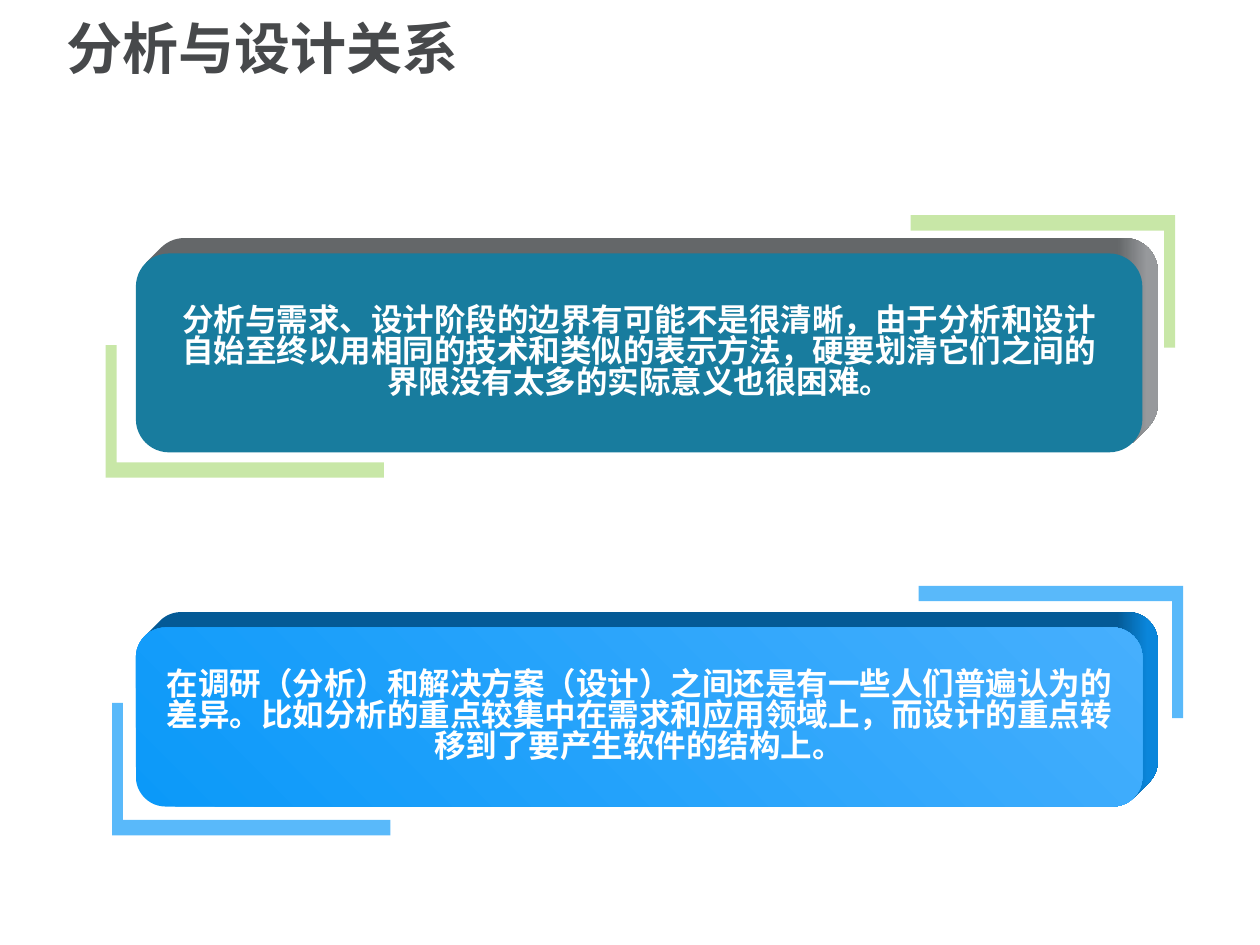
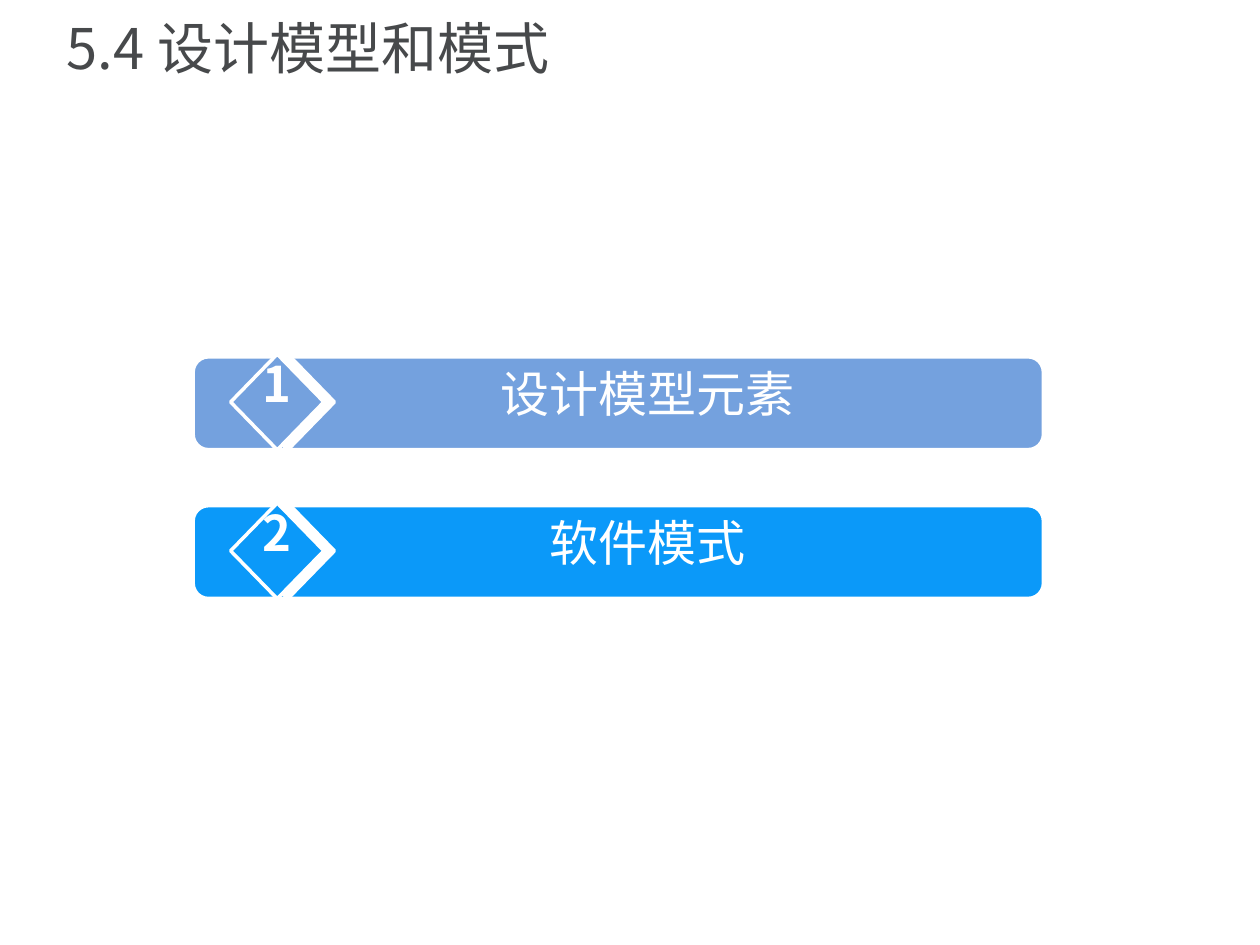
import math
from dataclasses import dataclass

from lxml import etree
from pptx import Presentation
from pptx import util as u
from pptx.dml.color import RGBColor
from pptx.enum import shapes, text
from pptx.oxml import ns

Cm, Pt = u.Cm, u.Pt


@dataclass(frozen=True)
class Theme:
    title: str = "47494B"
    white: str = "FFFFFF"
    green: str = "92D050"
    teal: str = "187C9E"
    blue: str = "0B99F9"
    light_blue: str = "46AFFD"
    soft_blue: str = "74A1DE"
    gray_side: tuple = ("646769", "97999C")
    blue_side: tuple = ("045A96", "0A86DB")
    font: str = "Noto Sans CJK SC"
    label_font: str = "Noto Sans CJK JP"
    card_font: str = "DejaVu Sans"
    title_size: int = 32
    label_size: int = 28
    card_size: int = 18


def rgb(value):
    return RGBColor.from_string(value)


class Deck:
    """Holds the theme and the slide being filled."""

    def __init__(self, prs, theme):
        self.prs, self.theme, self.s = prs, theme, None

    # Slide and title
    def slide(self, title, bold=False):
        t = self.theme
        self.s = self.prs.slides.add_slide(self.prs.slide_layouts[5])
        sp = self.s.shapes.title
        sp.left, sp.top, sp.width, sp.height = Cm(1.09), Cm(0.15), Cm(22.99), Cm(1.78)
        self.set_text(sp, title, t.title_size, t.font, t.title, bold,
                      align=text.PP_ALIGN.LEFT)
        sp.text_frame.auto_size = text.MSO_AUTO_SIZE.NONE

    # Text formatting
    def set_text(self, sp, words, size, font, color, bold=False, spacing=0.9,
                 align=text.PP_ALIGN.CENTER, anchor=text.MSO_ANCHOR.MIDDLE,
                 east_asian=None, wrap=True):
        tf = sp.text_frame
        tf.text = words
        tf.word_wrap = wrap
        tf.vertical_anchor = anchor
        for p in tf.paragraphs:
            p.alignment = align
            p.line_spacing = spacing
            for r in p.runs:
                r.font.size, r.font.bold, r.font.name = Pt(size), bold, font
                r.font.color.rgb = rgb(color)
                ea = etree.SubElement(r.font._element, ns.qn("a:ea"))
                ea.set("typeface", east_asian or font)

    def label(self, x, y, w, h, words, bold=False):
        t = self.theme
        sp = self.s.shapes.add_textbox(Cm(x), Cm(y), Cm(w), Cm(h))
        self.set_text(sp, words, t.label_size, t.label_font, t.white, bold,
                      anchor=text.MSO_ANCHOR.TOP)

    # Shapes
    def shape(self, kind, x, y, w, h, fill, line=None):
        sp = self.s.shapes.add_shape(kind, Cm(x), Cm(y), Cm(w), Cm(h))
        sp.shadow.inherit = False
        sp.fill.solid()
        sp.fill.fore_color.rgb = rgb(fill)
        if line:
            sp.line.color.rgb, sp.line.width = rgb(self.theme.white), Pt(line)
        else:
            sp.line.fill.background()
        return sp

    def outline(self, points):
        points = [(Cm(x), Cm(y)) for x, y in points]
        fb = self.s.shapes.build_freeform(*points[0])
        fb.add_line_segments(points[1:], close=True)
        sp = fb.convert_to_shape()
        sp.shadow.inherit = False
        sp.line.fill.background()
        return sp

    def gradient(self, sp, colors, angle, positions=(0, 1)):
        sp.fill.gradient()
        sp.fill.gradient_angle = angle
        for stop, color, position in zip(sp.fill.gradient_stops, colors, positions):
            stop.color.rgb, stop.position = rgb(color), position

    # Corner bracket: bottom left, or turned half round for top right
    def bracket(self, x, y, w, color, opacity, turned=False):
        h, dx, dy = 2.67, 0.22, 0.31
        points = [(0, 0), (dx, 0), (dx, h - dy), (w, h - dy), (w, h), (0, h)]
        if turned:
            points = [(w - px, h - py) for px, py in points]
        sp = self.outline([(x + px, y + py) for px, py in points])
        sp.fill.solid()
        sp.fill.fore_color.rgb = rgb(color)
        clr = sp._element.spPr.find(ns.qn("a:solidFill")).find(ns.qn("a:srgbClr"))
        etree.SubElement(clr, ns.qn("a:alpha")).set("val", str(opacity * 1000))

    # Raised card: a rounded face in front of its extruded side
    def card(self, y, h, words, face, side, font):
        t = self.theme
        x, w, depth, radius = 2.74, 20.29, 0.31, h / 6
        left, right = x + radius, x + w - radius
        top, bottom = y + radius, y + h - radius

        def arc(cx, cy, start, end):
            angles = [math.radians(a) for a in range(start, end + 1, 5)]
            return [(cx + radius * math.cos(a), cy + radius * math.sin(a))
                    for a in angles]

        back = (arc(left + depth, top - depth, 225, 270)
                + arc(right + depth, top - depth, 270, 360)
                + arc(right + depth, bottom - depth, 0, 45))
        hull = back + arc(right, bottom, 45, 45) + arc(left, top, 225, 225)
        self.gradient(self.outline(hull), side, 0, (0.96, 0.99))

        sp = self.shape(shapes.MSO_SHAPE.ROUNDED_RECTANGLE, x, y, w, h, face[0])
        if len(face) > 1:
            self.gradient(sp, face, 45)
        self.set_text(sp, words, t.card_size, font, t.white, True, spacing=0.82,
                      east_asian=t.font, wrap=False)

    # Numbered agenda bar
    def agenda_bar(self, y, number, words, color):
        self.shape(shapes.MSO_SHAPE.ROUNDED_RECTANGLE, 3.89, y, 17.15, 1.88,
                   color, 2.25)
        sp = self.shape(shapes.MSO_SHAPE.DIAMOND, 4.65, y - 0.05, 1.88, 1.93, color, 2)
        self.side_shadow(sp)
        self.label(4.65, y - 0.05, 1.88, 1.45, str(number), bold=True)
        self.label(5.94, y + 0.15, 14.22, 1.45, words)

    def side_shadow(self, sp):
        effects = sp._element.spPr.find(ns.qn("a:effectLst"))
        shadow = etree.SubElement(effects, ns.qn("a:outerShdw"), dist=str(Pt(6)),
                                  dir="0", algn="ctr", rotWithShape="0")
        etree.SubElement(shadow, ns.qn("a:srgbClr"), val=self.theme.white)


def main():
    prs = Presentation()
    prs.slide_width, prs.slide_height = Cm(25.4), Cm(19.05)
    t = Theme()
    deck = Deck(prs, t)

    # Analysis and design
    deck.slide("分析与设计关系", bold=True)
    deck.bracket(2.13, 6.96, 5.61, t.green, 50)
    deck.bracket(18.36, 4.34, 5.33, t.green, 50, turned=True)
    deck.card(5.11, 4.01,
              "分析与需求、设计阶段的边界有可能不是很清晰，由于分析和设计\n"
              "自始至终以用相同的技术和类似的表示方法，硬要划清它们之间的\n"
              "界限没有太多的实际意义也很困难。",
              (t.teal,), t.gray_side, t.font)
    deck.bracket(2.26, 14.17, 5.61, t.blue, 68)
    deck.bracket(18.52, 11.81, 5.33, t.blue, 68, turned=True)
    deck.card(12.65, 3.61,
              "在调研（分析）和解决方案（设计）之间还是有一些人们普遍认为的\n"
              "差异。比如分析的重点较集中在需求和应用领域上，而设计的重点转\n"
              "移到了要产生软件的结构上。",
              (t.blue, t.light_blue), t.blue_side, t.card_font)

    # Section agenda
    deck.slide("5.4 设计模型和模式")
    topics = [("设计模型元素", t.soft_blue), ("软件模式", t.blue)]
    for i, (topic, color) in enumerate(topics):
        deck.agenda_bar(7.19 + 3 * i, i + 1, topic, color)

    prs.save("out.pptx")


if __name__ == "__main__":
    main()
